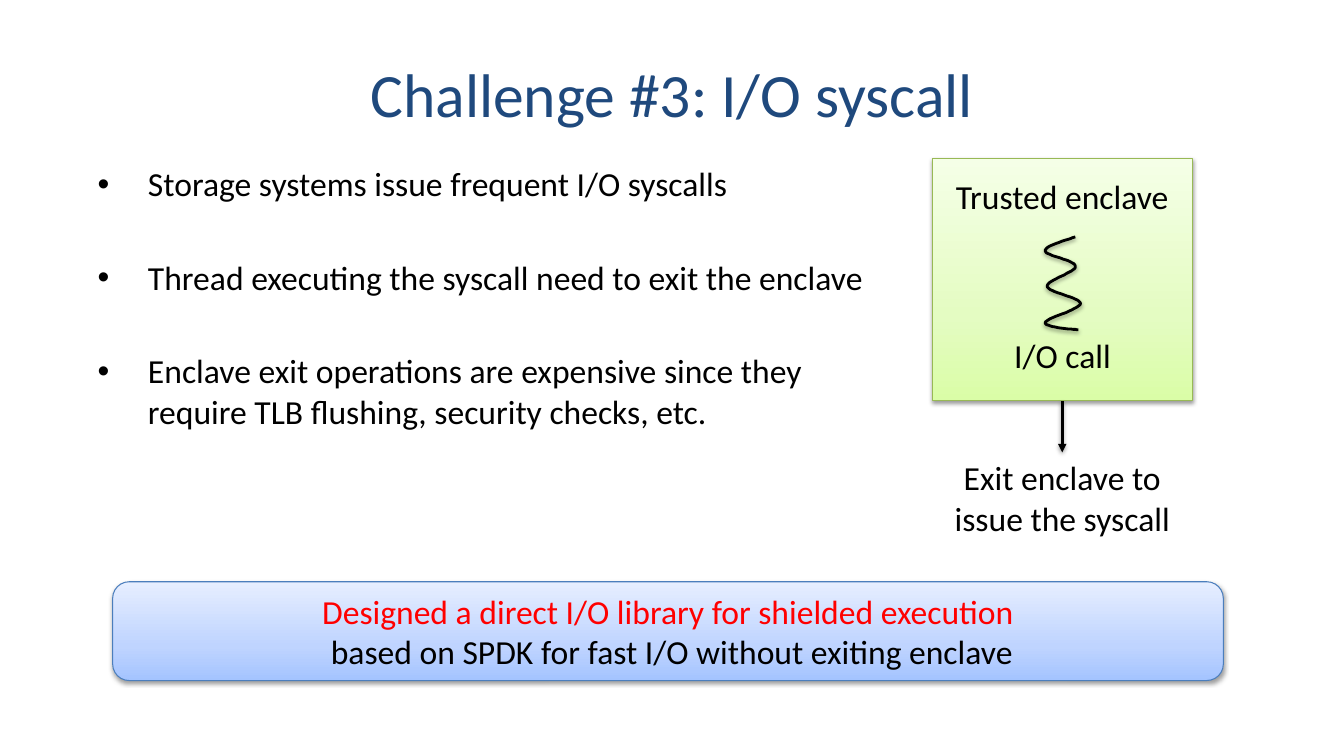
import copy
import dataclasses
import typing

import pptx
import pptx.dml.color
import pptx.enum.shapes
import pptx.enum.text
import pptx.oxml
import pptx.oxml.ns
import pptx.util
from pptx.util import Cm

SHAPES = pptx.enum.shapes.MSO_SHAPE
ALIGN = pptx.enum.text.PP_ALIGN
ANCHOR = pptx.enum.text.MSO_ANCHOR
DRAWING = pptx.oxml.ns.nsdecls("a")


@dataclasses.dataclass(frozen=True)
class Theme:
    font: str = "Calibri"
    title_size: float = 44
    body_size: float = 24
    bullet_gap: float = 38
    border_width: float = 0.75
    stroke_width: float = 2
    title: str = "1F497D"
    ink: str = "000000"
    highlight: str = "FF0000"
    blue_border: str = "4B7EBC"
    green_border: str = "98B955"
    # Gradients run from bottom to top
    blue: tuple[str, ...] = ("A4C4FF", "BFD4FF", "E6EEFF")
    green: tuple[str, ...] = ("DAFDA7", "E4FCC2", "F5FFE7")
    gradient_positions: tuple[float, ...] = (0, 0.35, 1)


THEME = Theme()


@dataclasses.dataclass(frozen=True)
class Area:
    """A rectangle in centimetres."""
    left: float
    top: float
    width: float
    height: float

    def lengths(self) -> tuple[Cm, ...]:
        return tuple(Cm(side) for side in dataclasses.astuple(self))


@dataclasses.dataclass(frozen=True)
class Panel:
    preset: SHAPES
    area: Area
    gradient: tuple[str, ...]
    border: str


@dataclasses.dataclass(frozen=True)
class Label:
    text: str
    area: Area


TITLE = "Challenge #3: I/O syscall"
TITLE_AREA = Area(1.7, 0.76, 30.48, 3.18)
BULLETS = (
    "Storage systems issue frequent I/O syscalls",
    "Thread executing the syscall need to exit the enclave",
    "Enclave exit operations are expensive since they require TLB flushing, security checks, etc.",
)
BULLETS_AREA = Area(2.21, 3.99, 20.6, 10.46)
CALLOUT_TEXT = ("Designed a direct I/O library for shielded execution\v"
                " based on SPDK for fast I/O without exiting enclave")
CALLOUT = Panel(SHAPES.ROUNDED_RECTANGLE, Area(2.84, 14.66, 27.99, 2.49),
                THEME.blue, THEME.blue_border)
ENCLAVE = Panel(SHAPES.RECTANGLE, Area(23.5, 3.99, 6.55, 6.1),
                THEME.green, THEME.green_border)
LABELS = (
    Label("Trusted enclave", Area(23.67, 4.32, 6.2, 1.27)),
    Label("I/O call", Area(25.3, 8.31, 2.95, 1.27)),
    Label("Exit enclave to\vissue the syscall", Area(23.67, 11.4, 6.2, 2.31)),
)
EXIT_X, EXIT_TOP, EXIT_BOTTOM = 26.77, 10.11, 11.4

# Bezier points of the thread, in hundredths of a centimetre
THREAD_START = (2710, 597)
THREAD_CURVES = (
    ((2672, 610), (2634, 620), (2634, 632)),
    ((2634, 645), (2710, 655), (2710, 671)),
    ((2713, 686), (2637, 706), (2639, 721)),
    ((2639, 737), (2723, 749), (2723, 765)),
    ((2720, 780), (2634, 803), (2634, 813)),
    ((2631, 826), (2718, 831), (2718, 831)),
)
CURVE_STEPS = 16


def rgb(code: str) -> pptx.dml.color.RGBColor:
    return pptx.dml.color.RGBColor.from_string(code)


def format_runs(para: typing.Any, color: str = THEME.ink,
                size: float = THEME.body_size) -> None:
    for span in para.runs:
        span.font.name = THEME.font
        span.font.size = pptx.util.Pt(size)
        span.font.color.rgb = rgb(color)


def draw_line(shape: typing.Any, color: str, width: float) -> None:
    shape.line.color.rgb = rgb(color)
    shape.line.width = pptx.util.Pt(width)


def add_shadow(shape: typing.Any) -> None:
    """Give the shape a soft shadow straight below; call it after the line is set."""
    shape._element.spPr.append(pptx.oxml.parse_xml(
        f'<a:effectLst {DRAWING}><a:outerShdw blurRad="40000" dist="20000" '
        'dir="5400000" rotWithShape="0"><a:srgbClr val="000000">'
        '<a:alpha val="38000"/></a:srgbClr></a:outerShdw></a:effectLst>'))


def add_panel(page: typing.Any, panel: Panel) -> typing.Any:
    box = page.shapes.add_shape(panel.preset, *panel.area.lengths())
    box.fill.gradient()
    box.fill.gradient_angle = 90
    stop_list = box._element.spPr.find(".//" + pptx.oxml.ns.qn("a:gsLst"))
    stop_list.append(copy.deepcopy(stop_list[0]))
    for stop, color, position in zip(box.fill.gradient_stops, panel.gradient,
                                     THEME.gradient_positions):
        stop.color.rgb = rgb(color)
        stop.position = position
    draw_line(box, panel.border, THEME.border_width)
    add_shadow(box)
    return box


def add_label(page: typing.Any, label: Label) -> None:
    box = page.shapes.add_textbox(*label.area.lengths())
    box.text_frame.word_wrap = False
    para = box.text_frame.paragraphs[0]
    para.text = label.text
    para.alignment = ALIGN.CENTER
    format_runs(para)


def add_title(page: typing.Any) -> None:
    box = page.shapes.title
    box.left, box.top, box.width, box.height = TITLE_AREA.lengths()
    box.text_frame.text = TITLE
    box.text_frame.vertical_anchor = ANCHOR.MIDDLE
    para = box.text_frame.paragraphs[0]
    para.alignment = ALIGN.CENTER
    format_runs(para, THEME.title, THEME.title_size)


def add_bullets(page: typing.Any) -> None:
    frame = page.shapes.add_textbox(*BULLETS_AREA.lengths()).text_frame
    frame.word_wrap = True
    frame.text = "\n".join(BULLETS)
    for para in frame.paragraphs:
        para.space_after = pptx.util.Pt(THEME.bullet_gap)
        format_runs(para)
        settings = para._p.get_or_add_pPr()
        settings.set("marL", str(Cm(1.27)))
        settings.set("indent", str(Cm(-1.27)))
        for markup in (f'<a:buFont {DRAWING} typeface="Arial"/>',
                       f'<a:buChar {DRAWING} char="•"/>'):
            settings.append(pptx.oxml.parse_xml(markup))


def add_callout(page: typing.Any) -> None:
    frame = add_panel(page, CALLOUT).text_frame
    frame.vertical_anchor = ANCHOR.MIDDLE
    para = frame.paragraphs[0]
    para.text = CALLOUT_TEXT
    para.alignment = ALIGN.CENTER
    format_runs(para)
    para.runs[0].font.color.rgb = rgb(THEME.highlight)


def thread_points() -> typing.Iterator[tuple[float, ...]]:
    """Sample the Bezier curves after the start point."""
    start = THREAD_START
    for first, second, end in THREAD_CURVES:
        for step in range(1, CURVE_STEPS + 1):
            t = step / CURVE_STEPS
            weights = ((1 - t) ** 3, 3 * t * (1 - t) ** 2, 3 * t * t * (1 - t), t ** 3)
            yield tuple(sum(weight * value for weight, value in zip(weights, axis))
                        for axis in zip(start, first, second, end))
        start = end


def add_thread(page: typing.Any) -> None:
    builder = page.shapes.build_freeform(*THREAD_START, scale=Cm(0.01))
    builder.add_line_segments(list(thread_points()), close=False)
    thread = builder.convert_to_shape()
    thread.fill.background()
    draw_line(thread, THEME.ink, THEME.stroke_width)
    add_shadow(thread)


def add_exit_arrow(page: typing.Any) -> None:
    arrow = page.shapes.add_connector(
        pptx.enum.shapes.MSO_CONNECTOR.STRAIGHT,
        Cm(EXIT_X), Cm(EXIT_TOP), Cm(EXIT_X), Cm(EXIT_BOTTOM))
    draw_line(arrow, THEME.ink, THEME.stroke_width)
    arrow.line._get_or_add_ln().append(
        pptx.oxml.parse_xml(f'<a:tailEnd {DRAWING} type="triangle"/>'))
    add_shadow(arrow)


def main() -> None:
    deck = pptx.Presentation()
    deck.slide_width, deck.slide_height = Cm(33.87), Cm(19.05)
    page = deck.slides.add_slide(deck.slide_layouts.get_by_name("Title Only"))
    add_title(page)
    add_bullets(page)
    add_callout(page)
    add_panel(page, ENCLAVE)
    add_thread(page)
    add_exit_arrow(page)
    for label in LABELS:
        add_label(page, label)
    deck.save("out.pptx")


if __name__ == "__main__":
    main()
